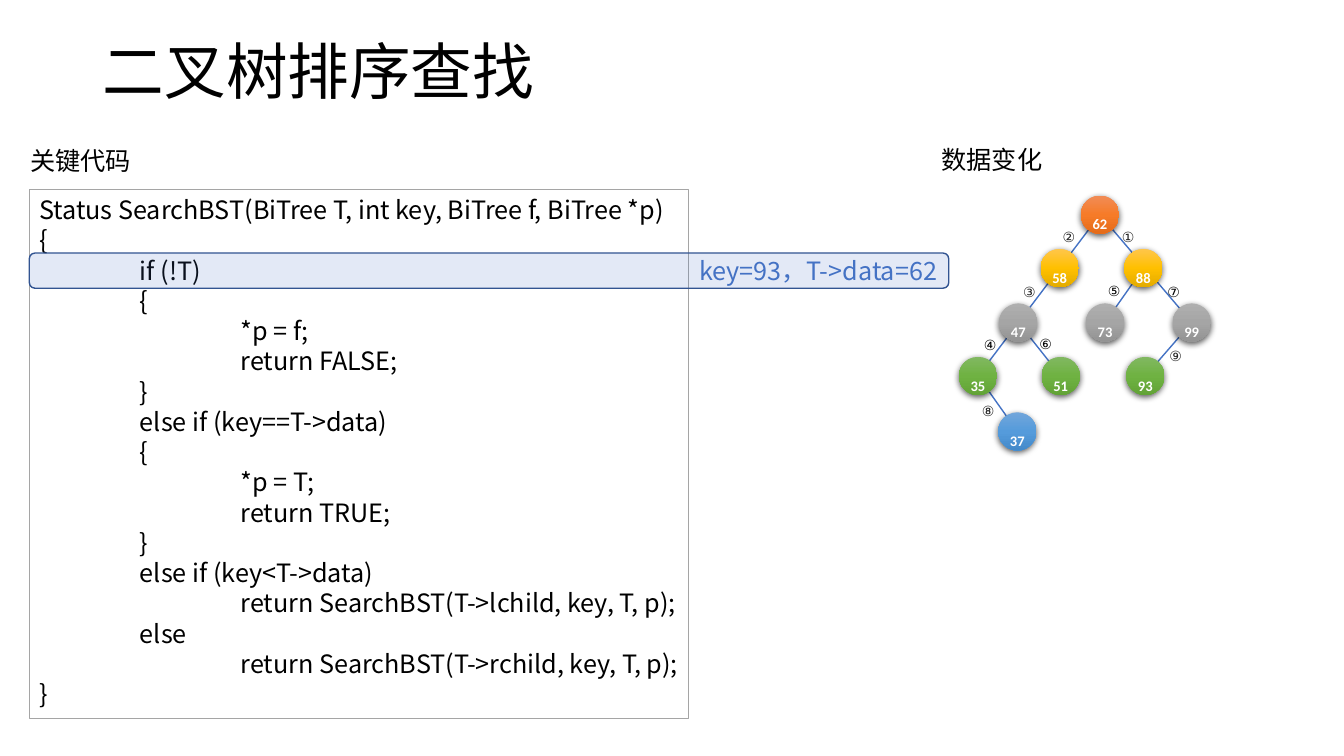
from copy import deepcopy

from lxml import etree
from pptx import Presentation
from pptx.dml.color import RGBColor
from pptx.enum.shapes import MSO_CONNECTOR, MSO_SHAPE
from pptx.enum.text import MSO_ANCHOR, MSO_AUTO_SIZE, PP_ALIGN
from pptx.oxml.ns import qn
from pptx.util import Pt

RECT, ROUND, OVAL = MSO_SHAPE.RECTANGLE, MSO_SHAPE.ROUNDED_RECTANGLE, MSO_SHAPE.OVAL
STRAIGHT = MSO_CONNECTOR.STRAIGHT
TOP, MIDDLE = MSO_ANCHOR.TOP, MSO_ANCHOR.MIDDLE
LEFT, CENTER, RIGHT = PP_ALIGN.LEFT, PP_ALIGN.CENTER, PP_ALIGN.RIGHT
PX = 9144  # 100 px to the inch

BLACK, WHITE = RGBColor(0, 0, 0), RGBColor(255, 255, 255)
DARK = RGBColor(0x22, 0x22, 0x22)
GRAY = RGBColor(0xA5, 0xA5, 0xA5)
BLUE, NAVY = RGBColor(0x44, 0x72, 0xC4), RGBColor(0x32, 0x54, 0x91)
SANS, NUM, MARK = "Noto Sans CJK SC", "Calibri", "DejaVu Sans"

# Content
TITLE = "二叉树排序查找"
HEADS = [("关键代码", 20, 139, 125), ("数据变化", 924, 138, 121)]
STATE = "key=93，T->data=62"
CODE = """Status SearchBST(BiTree T, int key, BiTree f, BiTree *p)
{
\tif (!T)
\t{
\t\t*p = f;
\t\treturn FALSE;
\t}
\telse if (key==T->data)
\t{
\t\t*p = T;
\t\treturn TRUE;
\t}
\telse if (key<T->data)
\t\treturn SearchBST(T->lchild, key, T, p);
\telse
\t\treturn SearchBST(T->rchild, key, T, p);
}"""
TABS = (100, 200)

# Tree levels: top, gradient, left of each node
SIZE = 38
LEVELS = [
    (194, ("F18C57", "F67B28", "E56C19"), {"62": 1072}),
    (247, ("FFC64B", "FFC000", "E3AB00"), {"58": 1032, "88": 1115}),
    (301, ("AFAFAF", "A5A5A5", "939393"), {"47": 991, "73": 1077, "99": 1163}),
    (354, ("81B861", "6FB242", "62A336"), {"35": 951, "51": 1033, "93": 1117}),
    (409, ("71A6DB", "559BDB", "448ACA"), {"37": 990}),
]
EDGES = [("88", "73"), ("99", "93"), ("35", "37"), ("47", "51"),
         ("62", "99"), ("62", "35")]
MARKS = [("①", 1103, 222, DARK), ("②", 1044, 222, DARK), ("③", 1005, 276, DARK),
         ("④", 966, 329, BLACK), ("⑤", 1089, 275, BLACK), ("⑥", 1021, 328, BLACK),
         ("⑦", 1148, 276, BLACK), ("⑧", 964, 394, DARK), ("⑨", 1150, 340, DARK)]


def px(*nums):
    return [round(n * PX) for n in nums]


def write(shape, text, size, font, color, align=LEFT, anchor=TOP,
          pad=(10, 5, 0, 5), space=None, tabs=()):
    frame = shape.text_frame
    frame.text = text
    frame.word_wrap = True
    frame.auto_size = MSO_AUTO_SIZE.NONE
    frame.vertical_anchor = anchor
    (frame.margin_left, frame.margin_top,
     frame.margin_right, frame.margin_bottom) = px(*pad)
    for para in frame.paragraphs:
        para.alignment = align
        if space:
            para.line_spacing = space
        if tabs:
            stops = etree.SubElement(para._p.get_or_add_pPr(), qn("a:tabLst"))
            for pos in px(*tabs):
                etree.SubElement(stops, qn("a:tab"), pos=str(pos), algn="l")
        for run in para.runs:
            run.font.size, run.font.name = Pt(size), font
            run.font.color.rgb = color
            east = etree.Element(qn("a:ea"), typeface=font)
            run.font._element.find(qn("a:latin")).addnext(east)
    return frame


def label(shapes, box, *args, **opts):
    return write(shapes.add_textbox(*px(*box)), *args, **opts)


def panel(shapes, kind, box, fill, line):
    shape = shapes.add_shape(kind, *px(*box))
    shape.shadow.inherit = False
    shape.fill.solid()
    shape.fill.fore_color.rgb = fill
    shape.line.color.rgb, shape.line.width = line, Pt(1)
    return shape


def edge(shapes, start, end):
    line = shapes.add_connector(STRAIGHT, *px(*start, *end))
    line.line.color.rgb, line.line.width = BLUE, Pt(1)
    etree.SubElement(line._element.spPr, qn("a:effectLst"))


def node(shapes, key, left, top, tones):
    group = shapes.add_group_shape()
    ball = group.shapes.add_shape(OVAL, *px(left, top, SIZE, SIZE))
    ball.line.fill.background()
    # Three-stop gradient, top to bottom
    ball.fill.gradient()
    ball.fill.gradient_angle = 270
    stops = ball._element.spPr.find(".//" + qn("a:gsLst"))
    stops.insert(1, deepcopy(stops[0]))
    for n, (stop, tone) in enumerate(zip(ball.fill.gradient_stops, tones)):
        stop.position = n / 2
        stop.color.rgb = RGBColor.from_string(tone)
    # Soft shadow below
    ball.shadow.inherit = False
    soft = etree.SubElement(ball._element.spPr.find(qn("a:effectLst")),
                            qn("a:outerShdw"), blurRad=str(Pt(4.5)),
                            dist=str(Pt(1.5)), dir="5400000", rotWithShape="0")
    tint = etree.SubElement(soft, qn("a:srgbClr"), val="000000")
    etree.SubElement(tint, qn("a:alpha"), val="63000")
    frame = label(group.shapes, (left, top - 2, SIZE, 30), key, 18, NUM, WHITE,
                  align=CENTER, pad=(0, 5, 0, 5))
    font = frame.paragraphs[0].runs[0].font
    font.bold = True
    font._element.set("baseline", "-25000")


def main():
    deck = Presentation()
    deck.slide_width, deck.slide_height = px(1333, 750)
    slide = deck.slides.add_slide(deck.slide_layouts[5])
    shapes = slide.shapes

    # Title
    title = shapes.title
    title.left, title.top, title.width, title.height = px(92, 1, 1150, 145)
    write(title, TITLE, 44, SANS, BLACK, anchor=MIDDLE, space=0.9)

    # Code and heads
    lead = Pt(21.6)
    code = panel(shapes, RECT, (29, 188, 654, 525), WHITE, GRAY)
    write(code, CODE, 18, SANS, BLACK, space=lead, tabs=TABS)
    for text, left, top, width in HEADS:
        label(shapes, (left, top, width, 40), text, 18, SANS, BLACK, space=lead)

    # Tree
    half = SIZE / 2
    spots = {key: (left + half, top + half)
             for top, _, row in LEVELS for key, left in row.items()}
    for start, end in EDGES:
        edge(shapes, spots[start], spots[end])
    for top, tones, row in LEVELS:
        for key, left in row.items():
            node(shapes, key, left, top, tones)
    for text, left, top, color in MARKS:
        label(shapes, (left, top, 34, 27), text, 10, MARK, color)

    # Current line
    bar = panel(shapes, ROUND, (29, 251, 912, 35), BLUE, NAVY)
    tint = bar._element.spPr.find(qn("a:solidFill"))[0]
    etree.SubElement(tint, qn("a:alpha"), val="15000")
    write(bar, STATE, 18, SANS, BLUE, align=RIGHT, anchor=MIDDLE,
          pad=(10, 5, 10, 5), space=lead)

    deck.save("out.pptx")


if __name__ == "__main__":
    main()
